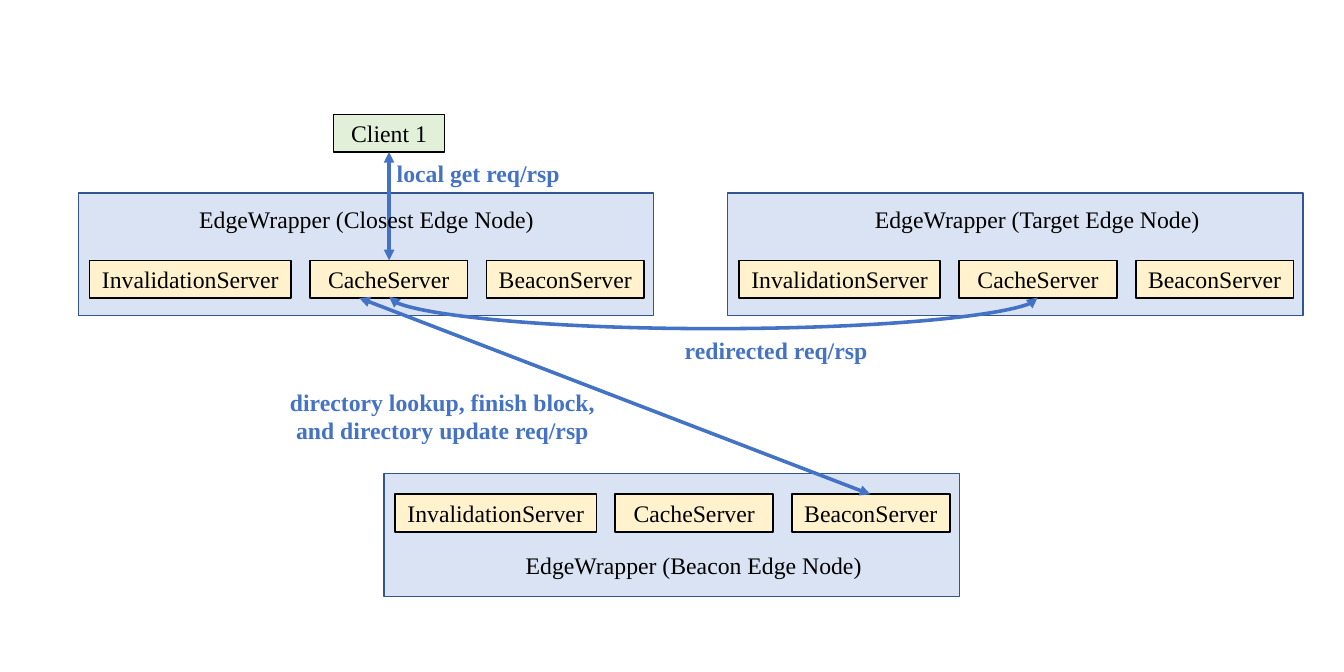
"""Build the edge cache request flow slide."""
from pptx import Presentation
from pptx.dml.color import RGBColor
from pptx.enum.shapes import MSO_CONNECTOR, MSO_SHAPE
from pptx.enum.text import MSO_ANCHOR, PP_ALIGN
from pptx.oxml.ns import qn
from pptx.util import Inches, Pt
from lxml import etree

RECT = MSO_SHAPE.RECTANGLE
STRAIGHT, CURVE = MSO_CONNECTOR.STRAIGHT, MSO_CONNECTOR.CURVE
CENTER, MIDDLE = PP_ALIGN.CENTER, MSO_ANCHOR.MIDDLE
BLACK = RGBColor(0x00, 0x00, 0x00)
BLUE = RGBColor(0x44, 0x72, 0xC4)
NAVY = RGBColor(0x32, 0x54, 0x91)
PALE_BLUE = RGBColor(0xDA, 0xE3, 0xF3)
CREAM = RGBColor(0xFF, 0xF2, 0xCC)
GREEN = RGBColor(0xE2, 0xF0, 0xD9)

NODE_W, NODE_H, ROW_H = 6.74, 1.44, 0.44
SERVERS = [("InvalidationServer", 0.13, 2.36), ("CacheServer", 2.71, 1.85),
           ("BeaconServer", 4.78, 1.85)]
NODES = [(0.92, 2.26, 0.79), (8.53, 2.26, 0.79), (4.5, 5.55, 0.24)]
CLIENT = ("Client 1", 3.91, 1.34, 1.3)
TITLES = [
    ("EdgeWrapper (Closest Edge Node)", 2.14, 2.35, 4.31, ROW_H),
    ("EdgeWrapper (Target Edge Node)", 10, 2.35, 4.31, ROW_H),
    ("EdgeWrapper (Beacon Edge Node)", 5.9, 6.4, 4.46, ROW_H),
]
MESSAGES = [
    ("local get req/rsp", 4.48, 1.81, 2.25, ROW_H),
    ("directory lookup, finish block, and directory update req/rsp",
     3.23, 4.49, 3.91, 0.77),
    ("redirected req/rsp", 7.14, 3.88, 3.91, ROW_H),
]
ARROWS = [(4.56, 1.78, 4.56, 3.05), (4.21, 3.49, 10.2, 5.79)]
REDIRECT_FROM, REDIRECT_TO, REDIRECT_Y, REDIRECT_DIP = 4.56, 12.16, 3.48, 0.38
THIN = 0.01

prs = Presentation()
prs.slide_width, prs.slide_height = Inches(15.75), Inches(7.87)
shapes = prs.slides.add_slide(prs.slide_layouts[6]).shapes


def write(sp, text, color=BLACK, bold=False):
    tf = sp.text_frame
    tf.word_wrap = True
    tf.vertical_anchor = MIDDLE
    tf.text = text
    p = tf.paragraphs[0]
    p.alignment = CENTER
    font = p.runs[0].font
    font.name, font.size, font.bold = "Times New Roman", Pt(20), bold
    font.color.rgb = color


def add_box(x, y, w, h, fill, line, weight):
    sp = shapes.add_shape(RECT, *map(Inches, (x, y, w, h)))
    sp.shadow.inherit = False
    sp.fill.solid()
    sp.fill.fore_color.rgb = fill
    sp.line.color.rgb = line
    sp.line.width = Pt(weight)
    return sp


def add_label(text, x, y, w, h, color=BLACK, bold=False):
    write(shapes.add_textbox(*map(Inches, (x, y, w, h))), text, color, bold)


def add_arrow(kind, *ends):
    cn = shapes.add_connector(kind, *map(Inches, ends))
    cn.line.color.rgb = BLUE
    cn.line.width = Pt(3)
    ln = cn.line._get_or_add_ln()
    for tag in ("a:headEnd", "a:tailEnd"):
        etree.SubElement(ln, qn(tag), type="triangle")
    etree.SubElement(cn._element.spPr, qn("a:effectLst"))
    return cn


for x, y, row in NODES:
    add_box(x, y, NODE_W, NODE_H, PALE_BLUE, NAVY, 1)
    for name, dx, w in SERVERS:
        write(add_box(x + dx, y + row, w, ROW_H, CREAM, BLACK, 1.5), name)

name, x, y, w = CLIENT
write(add_box(x, y, w, ROW_H, GREEN, BLACK, 1.5), name)

for ends in ARROWS:
    add_arrow(STRAIGHT, *ends)

mid = (REDIRECT_FROM + REDIRECT_TO) / 2
half = (REDIRECT_TO - REDIRECT_FROM) / 2
redirect = add_arrow(CURVE, mid + THIN / 2, REDIRECT_Y - half,
                     mid - THIN / 2, REDIRECT_Y + half)
sp_pr = redirect._element.spPr
sp_pr.find(qn("a:xfrm")).set("rot", str(270 * 60000))
adjust = round(REDIRECT_DIP / THIN * 100000)
etree.SubElement(sp_pr.find(qn("a:prstGeom")).find(qn("a:avLst")), qn("a:gd"),
                 name="adj1", fmla=f"val {adjust}")

for title in TITLES:
    add_label(*title)
for message in MESSAGES:
    add_label(*message, color=BLUE, bold=True)

prs.save("out.pptx")
